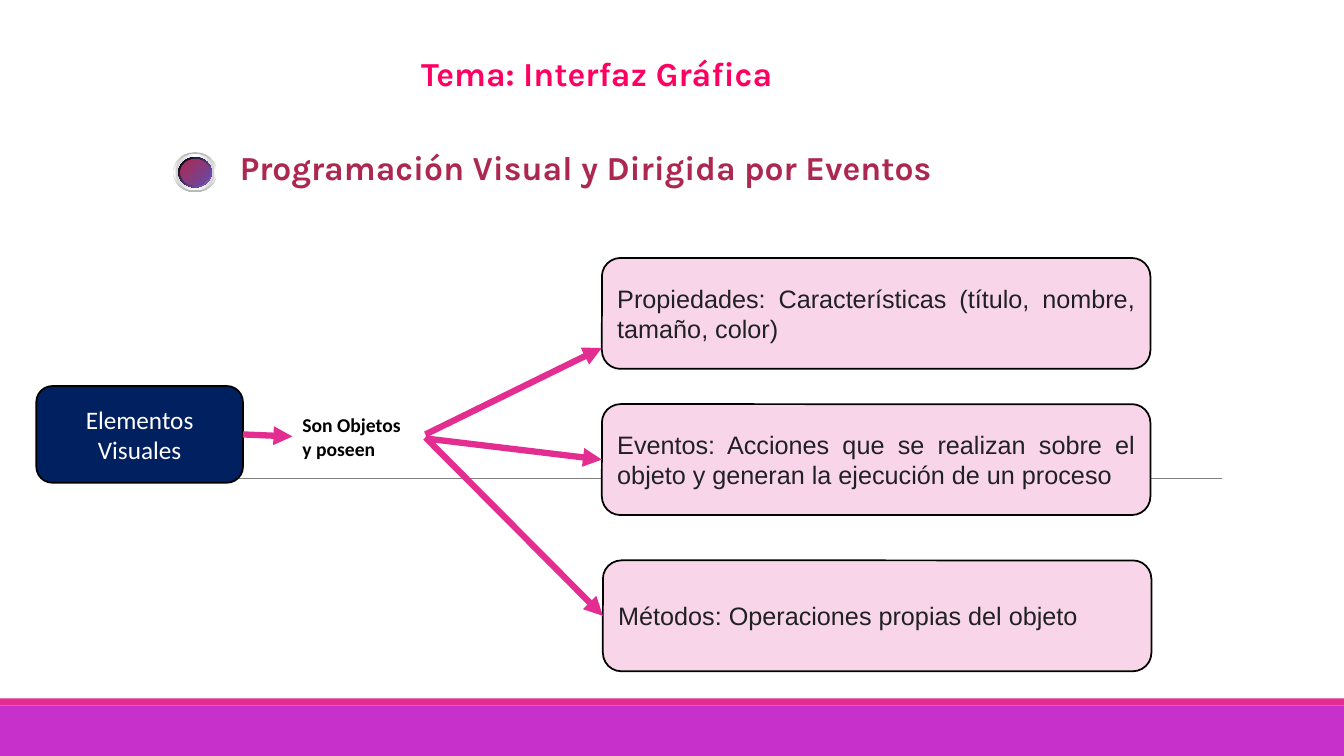
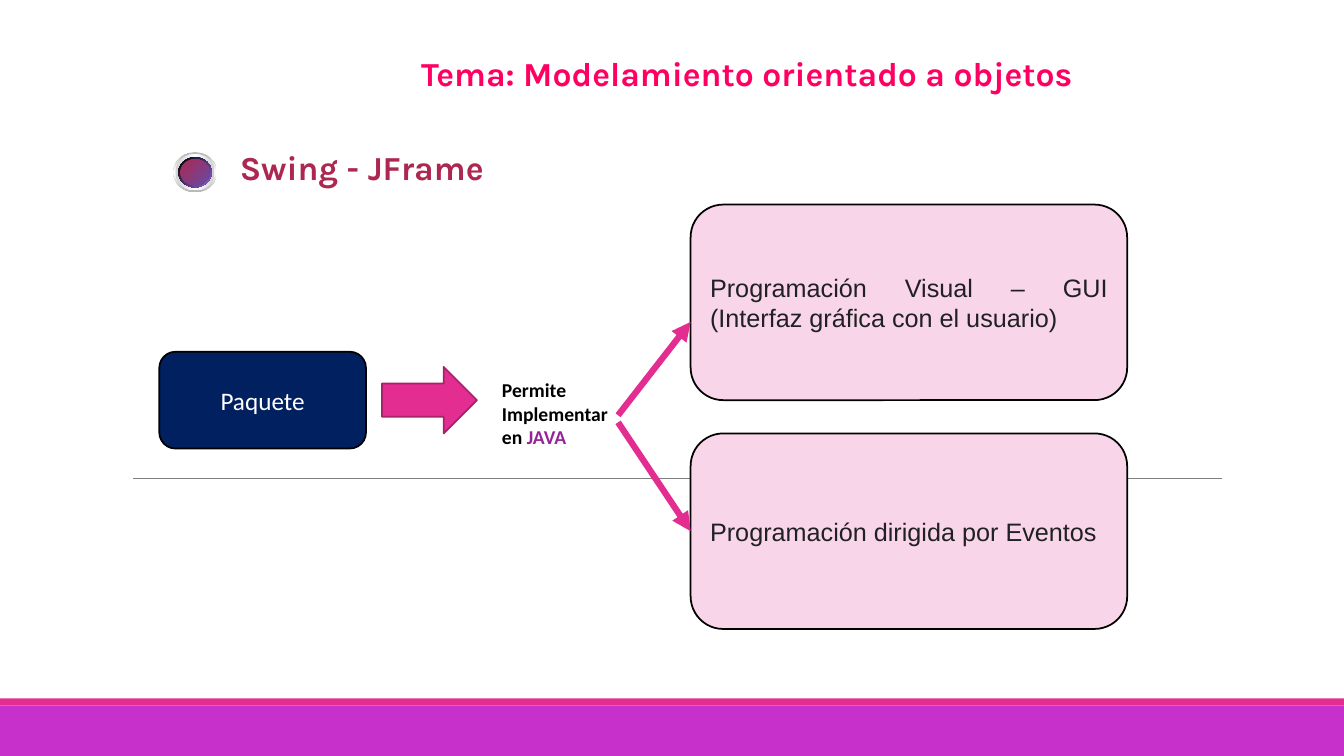
from lxml import etree
from pptx import Presentation
from pptx.dml.color import RGBColor
from pptx.enum.shapes import MSO_CONNECTOR, MSO_SHAPE
from pptx.enum.text import MSO_ANCHOR, PP_ALIGN
from pptx.oxml import parse_xml
from pptx.oxml.ns import nsdecls, qn
from pptx.util import Inches, Pt

RECT, ROUND = MSO_SHAPE.RECTANGLE, MSO_SHAPE.ROUNDED_RECTANGLE
OVAL, ARROW = MSO_SHAPE.OVAL, MSO_SHAPE.RIGHT_ARROW
STRAIGHT = MSO_CONNECTOR.STRAIGHT
TOP, MIDDLE = MSO_ANCHOR.TOP, MSO_ANCHOR.MIDDLE
LEFT, CENTER, JUSTIFY = PP_ALIGN.LEFT, PP_ALIGN.CENTER, PP_ALIGN.JUSTIFY
LEFT_SIDE, RIGHT_SIDE = 1, 3

COLORS = {
    "band": "C830CC", "pink": "E32D91", "pink_dark": "A8216B", "rule": "808080",
    "title": "FF0062", "subtitle": "AD2851", "navy": "002060", "card": "F9D5E9",
    "ink": "202124", "black": "000000", "white": "FFFFFF", "java": "962499",
}
BULLET_RINGS = [
    (0, 90, ["B6B6B6", "FFFFFF", "B6B6B6"]),
    (0.02, 0, ["D1D1D1", "FFFFFF", "D1D1D1"]),
    (0.05, 45, ["000000", "8D67E1"]),
    (0.07, 45, ["AD2851", "674BA4"]),
]


def rgb(name):
    """Return the named palette colour."""
    return RGBColor.from_string(COLORS[name])


def add_block(s, kind, box, fill=None, line=None):
    """Add a flat preset shape at box (left, top, width, height)."""
    sp = s.shapes.add_shape(kind, *map(Inches, box))
    sp.shadow.inherit = False
    if fill:
        sp.fill.solid()
        sp.fill.fore_color.rgb = rgb(fill)
    if line:
        sp.line.color.rgb = rgb(line)
        sp.line.width = Pt(1.25)
    else:
        sp.line.fill.background()
    return sp


def set_text(sp, lines, font, size, color, bold=False, align=LEFT, anchor=TOP):
    """Write one paragraph per line in a single style."""
    tf = sp.text_frame
    tf.word_wrap = True
    tf.vertical_anchor = anchor
    tf.text = "\n".join(lines)
    for p in tf.paragraphs:
        p.alignment = align
        for r in p.runs:
            style_run(r, font, size, color, bold)


def style_run(r, font, size, color, bold):
    """Format a run."""
    r.font.name, r.font.size, r.font.bold = font, Pt(size), bold
    r.font.color.rgb = rgb(color)


def add_label(s, box, lines, font="Calibri", size=14, color="black"):
    """Add a bold text box."""
    sp = s.shapes.add_textbox(*map(Inches, box))
    set_text(sp, lines, font, size, color, bold=True)
    return sp


def add_line(s, start, end, color, width):
    """Add a straight connector without shadow."""
    cx = s.shapes.add_connector(STRAIGHT, *map(Inches, start + end))
    cx.line.color.rgb = rgb(color)
    cx.line.width = Pt(width)
    etree.SubElement(cx._element.spPr, qn("a:effectLst"))
    return cx


def add_arrow(s, start, end):
    """Add a thick pink arrow."""
    cx = add_line(s, start, end, "pink", 4.5)
    etree.SubElement(cx.line._get_or_add_ln(), qn("a:tailEnd"), type="triangle")
    return cx


def add_bullet(s, box):
    """Draw a round bullet from nested gradient rings."""
    x, y, w, h = box
    for inset, angle, stops in BULLET_RINGS:
        ring = (x + inset, y + inset, w - 2 * inset, h - 2 * inset)
        sp = add_block(s, OVAL, ring)
        step = 100000 // (len(stops) - 1)
        gs = "".join(f'<a:gs pos="{i * step}"><a:srgbClr val="{c}"/></a:gs>'
                     for i, c in enumerate(stops))
        grad = parse_xml(f'<a:gradFill {nsdecls("a")}><a:gsLst>{gs}</a:gsLst>'
                         f'<a:lin ang="{angle * 60000}" scaled="0"/></a:gradFill>')
        sp._element.spPr.find(qn("a:prstGeom")).addnext(grad)


def add_node(s, left, top, lines):
    """Add the navy starting box."""
    sp = add_block(s, ROUND, (left, top, 2.05, 0.96), "navy", "black")
    set_text(sp, lines, "Calibri", 18, "white", align=CENTER, anchor=MIDDLE)
    return sp


def add_branch(s, start, box, text, entry=0.5):
    """Add a card and the arrow entering its left side at a share of its height."""
    sp = add_block(s, ROUND, box, "card", "black")
    set_text(sp, [text], "Arial", 18, "ink", align=JUSTIFY, anchor=MIDDLE)
    x, y, _, h = box
    cx = add_arrow(s, start, (x, y + entry * h))
    if entry == 0.5:
        cx.end_connect(sp, LEFT_SIDE)


def add_frame(prs, title, subtitle):
    """Add a slide with bands, rule, title and bulleted subtitle."""
    s = prs.slides.add_slide(prs.slide_layouts[6])
    add_block(s, RECT, (0, 7, 13.33, 0.5), "band")
    add_block(s, RECT, (0, 6.93, 13.33, 0.07), "pink")
    add_line(s, (1.32, 4.75), (12.12, 4.75), "rule", 0.5)
    add_label(s, (4.08, 0.48, 7.33, 0.5), [title], "Karla", 24, "title")
    add_label(s, (2.28, 1.41, 9.71, 0.5), [subtitle], "Karla", 24, "subtitle")
    add_bullet(s, (1.72, 1.51, 0.43, 0.4))
    return s


def build_elements(prs):
    """Build the slide on visual elements."""
    s = add_frame(prs, "Tema: Interfaz Gráfica",
                  "Programación Visual y Dirigida por Eventos")
    node = add_node(s, 0.36, 3.83, ["Elementos", "Visuales"])
    add_arrow(s, (2.41, 4.31), (2.9, 4.33)).begin_connect(node, RIGHT_SIDE)
    add_label(s, (2.9, 4.05, 3.52, 0.57), ["Son Objetos", "y poseen"])
    branches = [
        (4.31, 5.97, 2.56, 0.81,
         "Propiedades: Características (título, nombre, tamaño, color)"),
        (4.35, 5.97, 4.01, 0.5,
         "Eventos: Acciones que se realizan sobre el objeto y generan "
         "la ejecución de un proceso"),
        (4.34, 5.98, 5.56, 0.5, "Métodos: Operaciones propias del objeto"),
    ]
    for start, left, top, entry, text in branches:
        add_branch(s, (4.22, start), (left, top, 5.44, 1.1), text, entry)


def build_swing(prs):
    """Build the slide on the Swing package."""
    s = add_frame(prs, "Tema: Modelamiento orientado a objetos", "Swing - JFrame")
    add_node(s, 1.58, 3.49, ["Paquete"])
    add_block(s, ARROW, (3.79, 3.64, 0.94, 0.66), "pink", "pink_dark")
    label = add_label(s, (4.88, 3.7, 1.39, 0.81), ["Permite", "Implementar", "en "])
    r = label.text_frame.paragraphs[-1].add_run()
    r.text = "JAVA"
    style_run(r, "Calibri", 14, "java", True)
    branches = [
        (4.12, 2.03, 0.6,
         "Programación Visual – GUI (Interfaz gráfica con el usuario)"),
        (4.19, 4.3, 0.5, "Programación dirigida por Eventos"),
    ]
    for start, top, entry, text in branches:
        add_branch(s, (6.13, start), (6.85, top, 4.33, 1.94), text, entry)


def main():
    """Build and save the presentation."""
    prs = Presentation()
    prs.slide_width, prs.slide_height = Inches(13.33), Inches(7.5)
    build_elements(prs)
    build_swing(prs)
    prs.save("out.pptx")


if __name__ == "__main__":
    main()
